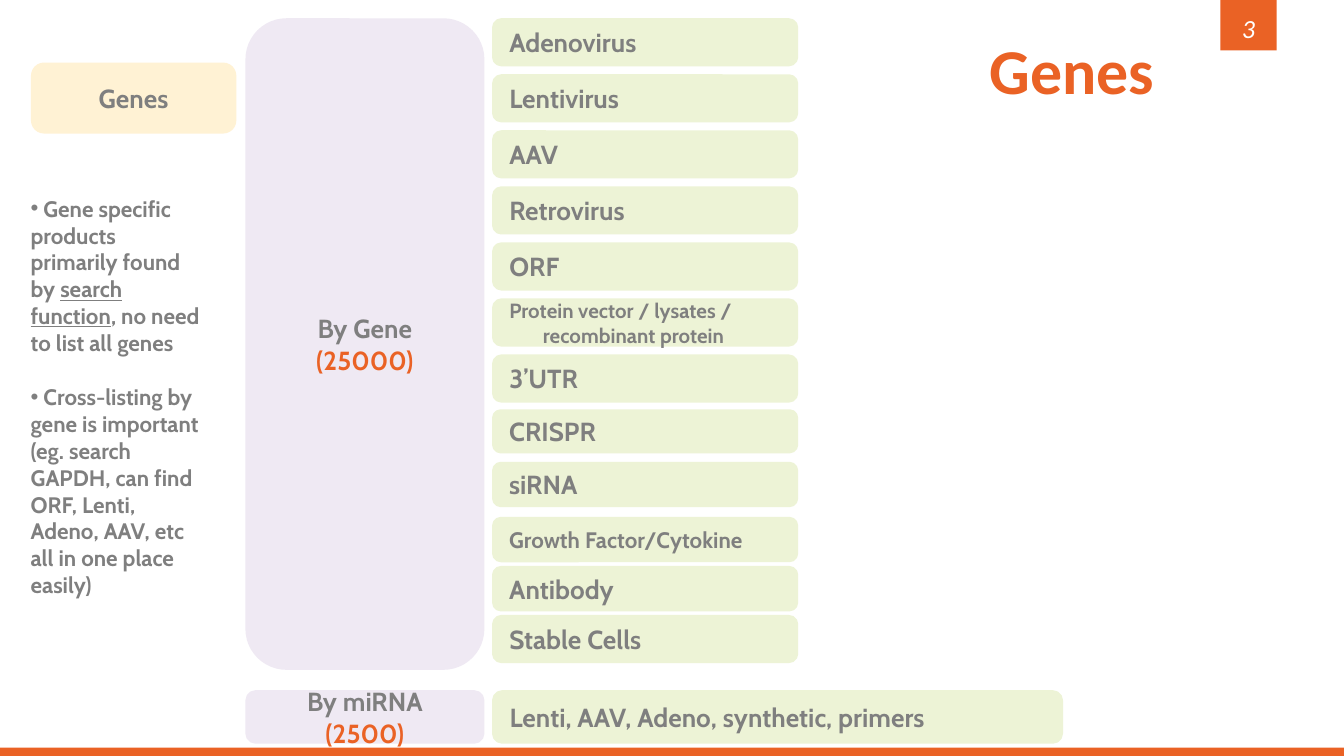
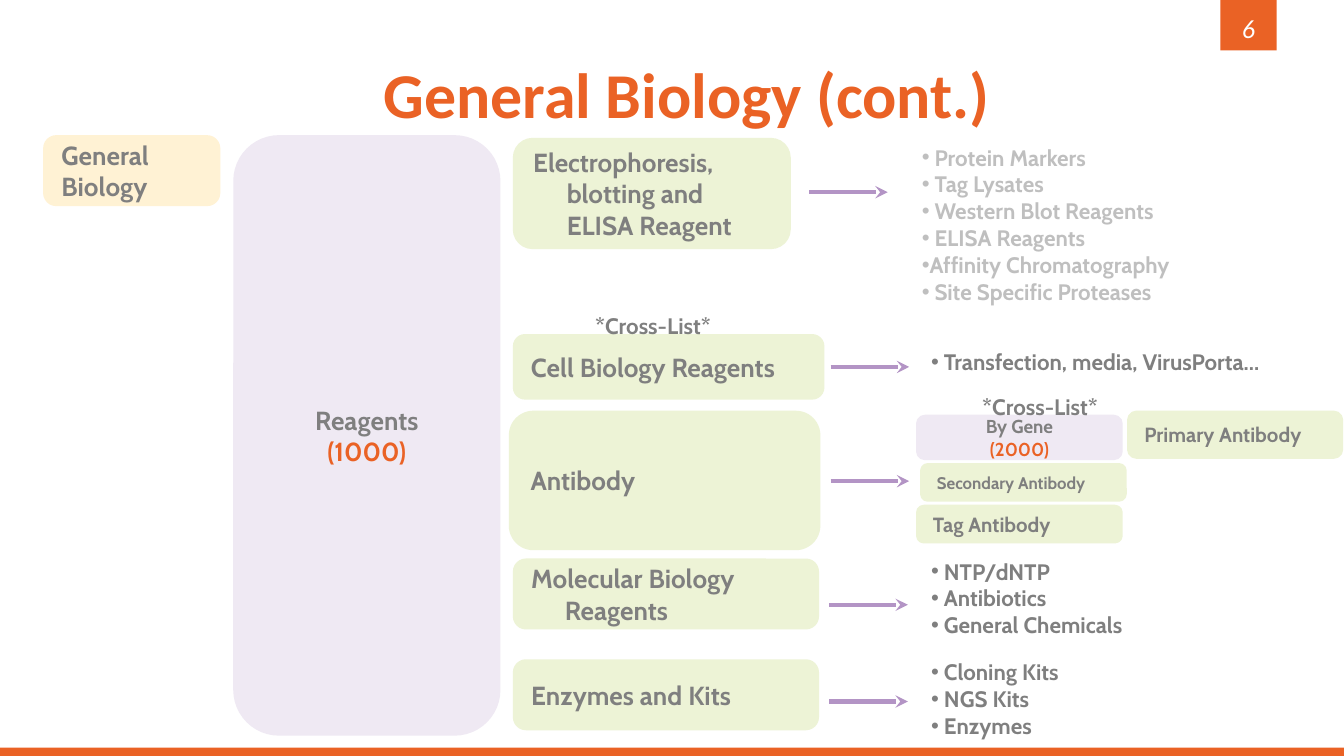
from dataclasses import dataclass

from lxml.etree import SubElement
from pptx import Presentation
from pptx.dml.color import RGBColor
from pptx.enum.shapes import MSO_CONNECTOR, MSO_SHAPE
from pptx.enum.text import MSO_ANCHOR, MSO_AUTO_SIZE, PP_ALIGN
from pptx.oxml.ns import qn
from pptx.util import Inches, Pt

COLS, ROWS = 100, 56.25
SLIDE_W, SLIDE_H = Inches(10), Inches(5.625)


@dataclass(frozen=True)
class Theme:
    accent: str = "EA6225"
    white: str = "FFFFFF"
    grey: str = "7F7F7F"
    pale_grey: str = "BFBFBF"
    cream: str = "FFF2D4"
    green: str = "EDF3D6"
    lilac: str = "EFE9F3"
    arrow: str = "B394C5"
    head_font: str = "Calibri"
    body_font: str = "Cabin"
    title: float = 34.2
    label: float = 14
    note: float = 12
    small: float = 11
    count: float = 10
    tiny: float = 9
    border: float = 2
    arrow_width: float = 2.25


T = Theme()


@dataclass(frozen=True)
class Box:
    x: float
    y: float
    w: float
    h: float

    def at(self, dx, dy, w, h):
        return Box(self.x + dx, self.y + dy, w, h)

    def emu(self):
        return col(self.x), row(self.y), col(self.w), row(self.h)


PAGE = Box(0, 0, COLS, ROWS)


def col(n):
    return int(SLIDE_W * n / COLS)


def row(n):
    return int(SLIDE_H * n / ROWS)


def rgb(value):
    return RGBColor.from_string(value)


def add_bullet(pPr, color):
    SubElement(SubElement(pPr, qn("a:buClr")), qn("a:srgbClr"), val=color)
    SubElement(pPr, qn("a:buFont"), typeface="Arial")
    SubElement(pPr, qn("a:buChar"), char="•")


def write(sp, paras, size=T.label, color=T.grey, font=T.body_font, bold=True,
          italic=False, align=PP_ALIGN.LEFT, anchor=MSO_ANCHOR.MIDDLE,
          margin=0, indent=0, bullet=False, gap=0, pad=0.05):
    tf = sp.text_frame
    tf.word_wrap = True
    tf.vertical_anchor = anchor
    tf.margin_left = tf.margin_right = Inches(0.1)
    tf.margin_top = tf.margin_bottom = Inches(pad)
    for i, para in enumerate(paras):
        p = tf.add_paragraph() if i else tf.paragraphs[0]
        p.alignment = align
        if gap and i:
            p.space_before = Pt(gap)
        pPr = p._p.get_or_add_pPr()
        pPr.set("marL", str(Inches(margin)))
        pPr.set("indent", str(Inches(indent)))
        if bullet:
            add_bullet(pPr, color)
        for run in [para] if isinstance(para, str) else para:
            text, extra = (run, {}) if isinstance(run, str) else run
            r = p.add_run()
            r.text = text
            r.font.name = font
            r.font.size = Pt(size)
            r.font.bold = bold
            r.font.italic = italic
            r.font.underline = extra.get("underline")
            r.font.color.rgb = rgb(extra.get("color", color))


def text_box(s, box, paras, **fmt):
    sp = s.shapes.add_textbox(*box.emu())
    write(sp, paras, **fmt)
    return sp


def panel(s, box, fill, shape=MSO_SHAPE.ROUNDED_RECTANGLE, border=T.border):
    sp = s.shapes.add_shape(shape, *box.emu())
    sp.shadow.inherit = False
    sp.fill.solid()
    sp.fill.fore_color.rgb = rgb(fill)
    if border:
        sp.line.color.rgb = rgb(fill)
        sp.line.width = Pt(border)
    else:
        sp.line.fill.background()
    return sp


def topic(s, box, text, align=PP_ALIGN.LEFT):
    write(panel(s, box, T.cream), [text], align=align)


def item(s, box, text, size=T.label):
    write(panel(s, box, T.green), [text], size=size, margin=0.25, indent=-0.25)


def group(s, box, name, count, size=T.label):
    write(panel(s, box, T.lilac), [name, [(count, {"color": T.accent})]],
          size=size, align=PP_ALIGN.CENTER)


def bullets(s, box, lines, color=T.grey, **fmt):
    return text_box(s, box, lines, size=T.note, color=color, indent=-0.08,
                    bullet=True, anchor=MSO_ANCHOR.TOP, **fmt)


def cross_list(s, box):
    text_box(s, box, ["*Cross-List*"], size=T.note, margin=0.5,
             anchor=MSO_ANCHOR.TOP)


def arrow(s, x, y, length=5.85):
    c = s.shapes.add_connector(MSO_CONNECTOR.STRAIGHT, col(x), row(y),
                               col(x + length), row(y))
    c.line.color.rgb = rgb(T.arrow)
    c.line.width = Pt(T.arrow_width)
    SubElement(c.line._get_or_add_ln(), qn("a:tailEnd"), type="stealth")
    SubElement(c._element.spPr, qn("a:effectLst"))


def new_slide(prs, number, title, title_box):
    s = prs.slides.add_slide(prs.slide_layouts[6])
    s.background.fill.solid()
    s.background.fill.fore_color.rgb = rgb(T.white)
    tab = PAGE.at(90.8, 0, 4.2, 3.75)
    for box in (PAGE.at(0, 55.63, COLS, 0.62), tab):
        panel(s, box, T.accent, MSO_SHAPE.RECTANGLE, border=0)
    text_box(s, tab.at(0, 0.6, tab.w, 3), [str(number)], color=T.white,
             font=T.head_font, bold=False, italic=True, align=PP_ALIGN.CENTER)
    text_box(s, title_box, [title], size=T.title, color=T.accent,
             font=T.head_font, align=PP_ALIGN.CENTER)
    return s


def gene_notes(s, box):
    topic(s, box.at(1.15, 0, 15, 5), "Genes", PP_ALIGN.CENTER)
    notes = [
        [" Gene specific products primarily found by ",
         ("search function", {"underline": True}),
         ", no need to list all genes"],
        " Cross-listing by gene is important (eg. search GAPDH, can find ORF, "
        "Lenti, Adeno, AAV, etc all in one place easily)",
    ]
    sp = bullets(s, box.at(0, 8.7, 15, 34.3), notes, gap=14.5, pad=0.1)
    sp.text_frame.auto_size = MSO_AUTO_SIZE.SHAPE_TO_FIT_TEXT


def gene_products(s, box):
    pitch, height = 4.17, 3.3
    vectors = ["Adenovirus", "Lentivirus", "AAV", "Retrovirus", "ORF",
               "Protein vector / lysates / recombinant protein", "3’UTR"]
    for i, name in enumerate(vectors):
        size = T.small if len(name) > 30 else T.label
        item(s, box.at(0, i * pitch, box.w, height), name, size)
    others = [("CRISPR", 29.1, 3, T.label), ("siRNA", 33, 3.1, T.label),
              ("Growth Factor/Cytokine", 37.1, 3.1, T.note),
              ("Antibody", 40.75, 3.1, T.label),
              ("Stable Cells", 44.4, 3.3, T.label)]
    for name, top, h, size in others:
        item(s, box.at(0, top, box.w, h), name, size)


def genes_slide(prs):
    s = new_slide(prs, 3, "Genes", PAGE.at(64.5, 2.1, 30.5, 6))
    gene_notes(s, PAGE.at(1.3, 4.8, 16.5, 43))
    gene_products(s, PAGE.at(36.75, 1.5, 22.5, 48.2))
    group(s, PAGE.at(18.4, 1.5, 17.5, 48.2), "By Gene", "(25000)")
    group(s, PAGE.at(18.4, 51.5, 17.5, 3.7), "By miRNA", "(2500)")
    item(s, PAGE.at(36.75, 51.5, 42.2, 3.7),
         "Lenti, AAV, Adeno, synthetic, primers")


def antibody_types(s, box):
    item(s, box.at(15.7, 0, 15.8, 3.3), "Primary Antibody", T.small)
    group(s, box.at(0, 0.3, 15.1, 3.1), "By Gene", "(2000)", T.count)
    item(s, box.at(0.3, 3.9, 15.1, 2.6), "Secondary Antibody", T.tiny)
    item(s, box.at(0, 7, 15.1, 2.6), "Tag Antibody", T.small)
    cross_list(s, box.at(-1.2, -1.9, 36.2, 2.6))


def reagent_row(s, box, name, arrow_at, lines=(), lines_box=None,
                color=T.grey):
    item(s, box, name)
    arrow(s, box.x + arrow_at[0], box.y + arrow_at[1])
    if lines:
        bullets(s, box.at(*lines_box), lines, color)


def reagents(s, box):
    reagent_row(s, box.at(0, 0.2, 20.4, 8),
                "Electrophoresis, blotting and ELISA Reagent", (21.9, 3.9),
                [" Protein Markers", " Tag Lysates", " Western Blot Reagents",
                 " ELISA Reagents", "Affinity Chromatography",
                 " Site Specific Proteases"],
                (29.3, -0.2, 32.2, 9.1), T.pale_grey)
    reagent_row(s, box.at(0, 14.8, 22.9, 4.6), "Cell Biology Reagents",
                (23.5, 2.3), [" Transfection, media, VirusPorta..."],
                (30, 0.4, 28.8, 5))
    cross_list(s, box.at(0, 12.5, 36.2, 2.6))
    reagent_row(s, box.at(-0.3, 20.5, 22.9, 10.1), "Antibody", (23.8, 5.1))
    antibody_types(s, box.at(30, 20.5, 31.5, 9.6))
    reagent_row(s, box.at(0, 31.5, 22.5, 5), "Molecular Biology Reagents",
                (23.4, 3.3), [" NTP/dNTP", " Antibiotics",
                              " General Chemicals"], (30, -0.7, 30.7, 8.9))
    reagent_row(s, box.at(0, 39, 22.5, 5), "Enzymes and Kits",
                (23.4, 3), [" Cloning Kits", " NGS Kits", " Enzymes"],
                (30, -0.7, 25.5, 8.9))


def biology_slide(prs):
    s = new_slide(prs, 6, "General Biology (cont.)",
                  PAGE.at(6.1, 3.9, 90, 6))
    topic(s, PAGE.at(3.35, 10.2, 12.9, 5), "General Biology")
    group(s, PAGE.at(17.5, 10.2, 19.6, 44.4), "Reagents", "(1000)")
    reagents(s, PAGE.at(38.3, 10.2, 61.5, 44.4))


def main():
    prs = Presentation()
    prs.slide_width, prs.slide_height = SLIDE_W, SLIDE_H
    genes_slide(prs)
    biology_slide(prs)
    prs.save("out.pptx")


if __name__ == "__main__":
    main()
